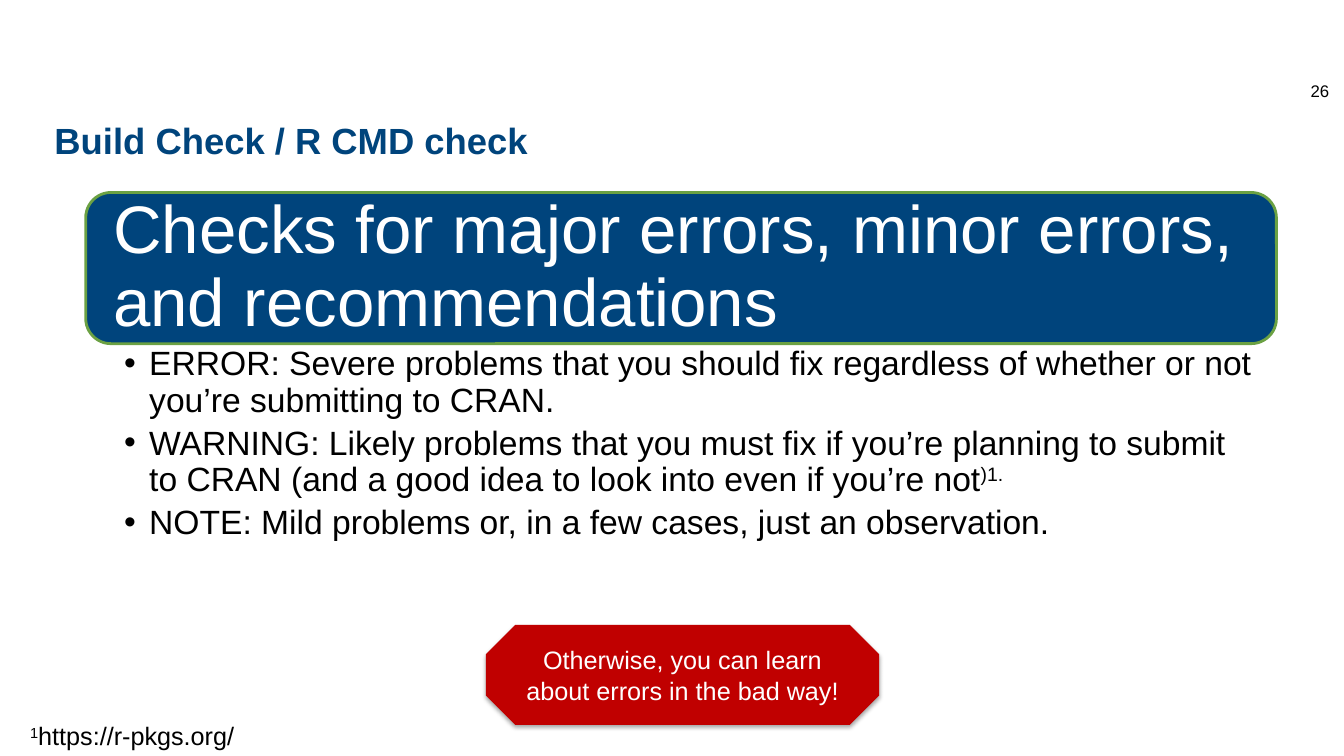
from dataclasses import dataclass
from typing import Any

from lxml import etree
from pptx import Presentation, util as u
from pptx.dml.color import RGBColor
from pptx.enum import shapes, text
from pptx.oxml import ns

BLUE = RGBColor(0x00, 0x44, 0x7C)
GREEN = RGBColor(0x6B, 0xA1, 0x43)
RED = RGBColor(0xC0, 0x00, 0x00)
WHITE = RGBColor(0xFF, 0xFF, 0xFF)
BLACK = RGBColor(0x00, 0x00, 0x00)

LEFT, MID = text.PP_ALIGN.LEFT, text.PP_ALIGN.CENTER
TOP, CENTER = text.MSO_ANCHOR.TOP, text.MSO_ANCHOR.MIDDLE

Box = tuple[float, float, float, float]
Piece = tuple[str, bool]  # wording, raised or not


@dataclass
class Style:
    size: float
    color: RGBColor = BLACK
    bold: bool = False
    align: Any = LEFT
    anchor: Any = TOP
    inset: Box = (0.1, 0.05, 0.1, 0.05)
    line: float = 1.0
    after: float = 0
    bullet: bool = False


@dataclass
class Panel:
    kind: Any
    box: Box
    fill: RGBColor
    edge: RGBColor | None
    words: str
    style: Style


@dataclass
class Label:
    box: Box
    pieces: list[Piece]
    style: Style


TITLE = Style(26, BLUE, bold=True, inset=(0.1, 0.09, 0.1, 0.05))
LIST = Style(24, inset=(0.38, 0.03, 0.19, 0.03), line=0.9, after=5, bullet=True)

ITEMS: list[list[Piece]] = [
    [("ERROR: Severe problems that you should fix regardless of whether or not "
      "you’re submitting to CRAN.", False)],
    [("WARNING: Likely problems that you must fix if you’re planning to submit to CRAN "
      "(and a good idea to look into even if you’re not", False), (")1.", True)],
    [("NOTE: Mild problems or, in a few cases, just an observation.", False)],
]

PANELS = [
    Panel(shapes.MSO_SHAPE.ROUNDED_RECTANGLE, (0.85, 1.91, 11.81, 1.5), BLUE, GREEN,
          "Checks for major errors, minor errors, and recommendations",
          Style(48, WHITE, anchor=CENTER, inset=(0.2,) * 4, line=0.9)),
    Panel(shapes.MSO_SHAPE.OCTAGON, (4.82, 6.2, 3.9, 0.99), RED, None,
          "Otherwise, you can learn about errors in the bad way!",
          Style(18, WHITE, align=MID, anchor=CENTER)),
]

LABELS = [
    Label((0.2, 7.1, 6.67, 0.4), [("1", True), ("https://r-pkgs.org/", False)], Style(18)),
    Label((12.9, 0.75, 0.44, 0.3), [("26", False)], Style(12)),
]


def apply(target: Any, values: dict[str, Any]) -> None:
    for name, value in values.items():
        setattr(target, name, value)


def place(shape: Any, box: Box) -> None:
    apply(shape, dict(zip(("left", "top", "width", "height"), map(u.Inches, box))))


def write(shape: Any, paras: list[list[Piece]], style: Style) -> None:
    frame = shape.text_frame
    sides = ("margin_left", "margin_top", "margin_right", "margin_bottom")
    apply(frame, dict(zip(sides, map(u.Inches, style.inset))))
    apply(frame, {"word_wrap": True, "auto_size": text.MSO_AUTO_SIZE.NONE,
                  "vertical_anchor": style.anchor})
    for i, pieces in enumerate(paras):
        para = frame.paragraphs[0] if i == 0 else frame.add_paragraph()
        apply(para, {"alignment": style.align, "line_spacing": style.line,
                     "space_before": u.Pt(0), "space_after": u.Pt(style.after)})
        if style.bullet:
            para.level = 1
            props = para._p.get_or_add_pPr()
            props.set("marL", str(u.Inches(0.25)))
            props.set("indent", str(u.Inches(-0.25)))
            etree.SubElement(props, ns.qn("a:buFont"), typeface="Arial")
            etree.SubElement(props, ns.qn("a:buChar"), char="•")
        for words, raised in pieces:
            run = para.add_run()
            run.text = words
            apply(run.font, {"name": "Arial", "size": u.Pt(style.size), "bold": style.bold})
            run.font.color.rgb = style.color
            if raised:
                run._r.get_or_add_rPr().set("baseline", "30000")


def shade(shape: Any) -> None:
    effects = shape._element.spPr.find(ns.qn("a:effectLst"))
    cast = etree.SubElement(effects, ns.qn("a:outerShdw"), blurRad=str(u.Pt(3.1)),
                            dist=str(u.Pt(1.8)), dir="5400000", rotWithShape="0")
    color = etree.SubElement(cast, ns.qn("a:srgbClr"), val=str(BLACK))
    etree.SubElement(color, ns.qn("a:alpha"), val="35000")


def draw(slide: Any, panel: Panel) -> None:
    shape = slide.shapes.add_shape(panel.kind, *map(u.Inches, panel.box))
    shape.shadow.inherit = False
    shape.fill.solid()
    shape.fill.fore_color.rgb = panel.fill
    if panel.edge is None:
        shape.line.fill.background()
        shade(shape)
    else:
        shape.line.color.rgb = panel.edge
        shape.line.width = u.Pt(2)
    write(shape, [[(panel.words, False)]], panel.style)


def main() -> None:
    deck = Presentation()
    apply(deck, {"slide_width": u.Inches(13.33), "slide_height": u.Inches(7.5)})
    slide = deck.slides.add_slide(deck.slide_layouts[1])

    # Title and list
    title, body = slide.shapes.title, slide.placeholders[1]
    place(title, (0.44, 1.08, 12.46, 0.8))
    write(title, [[("Build Check / R CMD check", False)]], TITLE)
    place(body, (0.85, 3.41, 11.81, 1.9))
    write(body, ITEMS, LIST)

    # Banner and warning sign
    for panel in PANELS:
        draw(slide, panel)

    # Footnote and page number
    for label in LABELS:
        box = slide.shapes.add_textbox(*map(u.Inches, label.box))
        write(box, [label.pieces], label.style)

    deck.save("out.pptx")


if __name__ == "__main__":
    main()
